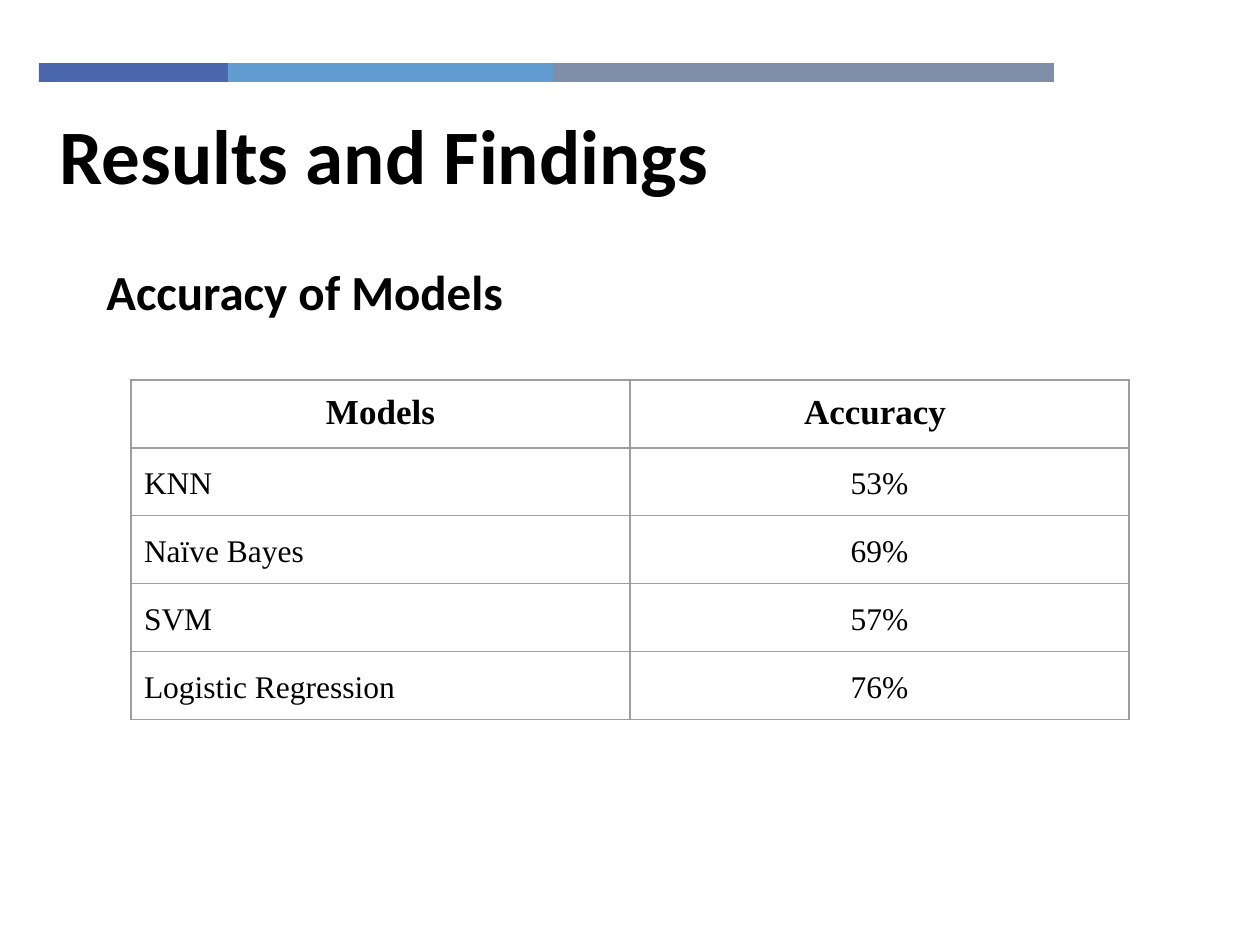
from dataclasses import dataclass

from lxml import etree
from pptx import Presentation
from pptx.dml.color import RGBColor
from pptx.enum.shapes import MSO_SHAPE
from pptx.enum.text import MSO_ANCHOR, MSO_AUTO_SIZE, PP_ALIGN
from pptx.oxml.ns import qn
from pptx.util import Emu, Inches, Pt

PX_PER_INCH = 126
RECTANGLE = MSO_SHAPE.RECTANGLE
TOP = MSO_ANCHOR.TOP
NO_AUTOFIT = MSO_AUTO_SIZE.NONE
LEFT, CENTER = PP_ALIGN.LEFT, PP_ALIGN.CENTER
TITLE_ONLY = 5

HEADING_FONT = "Calibri"
TABLE_FONT = "Times New Roman"
BORDER_COLOR = "9E9E9E"
BORDER_WIDTH = 0.75
CELL_MARGIN = 13


@dataclass(frozen=True)
class Bar:
    width: int
    color: str


@dataclass(frozen=True)
class ModelResult:
    model: str
    accuracy: str


BARS = [Bar(189, "4A66AC"), Bar(325, "629DD1"), Bar(501, "7F8FA9")]
HEADER = ModelResult("Models", "Accuracy ")
RESULTS = [
    ModelResult("KNN", "53%"),
    ModelResult("Naïve Bayes", "69%"),
    ModelResult("SVM", "57%"),
    ModelResult("Logistic Regression", "76%"),
]


def px(length: int) -> Emu:
    return Emu(round(length * Inches(1) / PX_PER_INCH))


def rgb(color: str) -> RGBColor:
    return RGBColor.from_string(color)


def write_text(text_frame, text: str, *, font: str, size: int, bold: bool = False,
               color: str = "000000", align=LEFT, line_spacing: float = 1.0,
               space: int = 0) -> None:
    """Fill the first paragraph; space is in points, before and after it."""
    paragraph = text_frame.paragraphs[0]
    paragraph.alignment = align
    paragraph.line_spacing = line_spacing
    paragraph.space_before = paragraph.space_after = Pt(space)
    run = paragraph.add_run()
    run.text = text
    run.font.name = font
    run.font.size = Pt(size)
    run.font.bold = bold
    run.font.color.rgb = rgb(color)


def draw_bars(slide, left: int, top: int, height: int) -> None:
    for bar in BARS:
        shape = slide.shapes.add_shape(RECTANGLE, px(left), px(top), px(bar.width), px(height))
        shape.shadow.inherit = False
        shape.fill.solid()
        shape.fill.fore_color.rgb = rgb(bar.color)
        shape.line.fill.background()
        left += bar.width


def draw_heading(shape, text: str, size: int, left: int, top: int, width: int, height: int) -> None:
    shape.left, shape.top, shape.width, shape.height = map(px, (left, top, width, height))
    text_frame = shape.text_frame
    text_frame.word_wrap = True
    text_frame.auto_size = NO_AUTOFIT
    text_frame.vertical_anchor = TOP
    write_text(text_frame, text, font=HEADING_FONT, size=size, bold=True)


def set_borders(cell) -> None:
    properties = cell._tc.get_or_add_tcPr()
    for position, side in enumerate(("a:lnL", "a:lnR", "a:lnT", "a:lnB")):
        line = etree.Element(qn(side), w=str(Pt(BORDER_WIDTH)))
        fill = etree.SubElement(line, qn("a:solidFill"))
        etree.SubElement(fill, qn("a:srgbClr"), val=BORDER_COLOR)
        properties.insert(position, line)


def draw_cell(cell, text: str, **text_format) -> None:
    cell.margin_left = cell.margin_right = px(CELL_MARGIN)
    cell.margin_top = cell.margin_bottom = px(CELL_MARGIN)
    cell.vertical_anchor = TOP
    cell.fill.background()
    set_borders(cell)
    write_text(cell.text_frame, text, font=TABLE_FONT, **text_format)


def draw_results(slide, left: int, top: int, column_width: int, row_height: int) -> None:
    row_count = len(RESULTS) + 1
    table = slide.shapes.add_table(row_count, 2, px(left), px(top),
                                   px(2 * column_width), px(row_count * row_height)).table
    table.first_row = table.horz_banding = False
    header_format = {"size": 20, "bold": True, "align": CENTER}
    draw_cell(table.cell(0, 0), HEADER.model, **header_format)
    draw_cell(table.cell(0, 1), HEADER.accuracy, **header_format)
    body_format = {"size": 18, "line_spacing": 1.15, "space": 12}
    for row, result in enumerate(RESULTS, start=1):
        draw_cell(table.cell(row, 0), result.model, **body_format)
        draw_cell(table.cell(row, 1), result.accuracy, align=CENTER, **body_format)


def main() -> None:
    presentation = Presentation()
    presentation.slide_width, presentation.slide_height = Inches(10), Inches(7.5)
    slide = presentation.slides.add_slide(presentation.slide_layouts[TITLE_ONLY])
    draw_bars(slide, left=39, top=63, height=19)
    draw_heading(slide.shapes.title, "Results and Findings", 44, 47, 101, 902, 100)
    subtitle = slide.shapes.add_textbox(0, 0, 0, 0)
    draw_heading(subtitle, "Accuracy of Models", 28, 94, 255, 965, 72)
    draw_results(slide, left=131, top=380, column_width=499, row_height=68)
    presentation.save("out.pptx")


if __name__ == "__main__":
    main()
